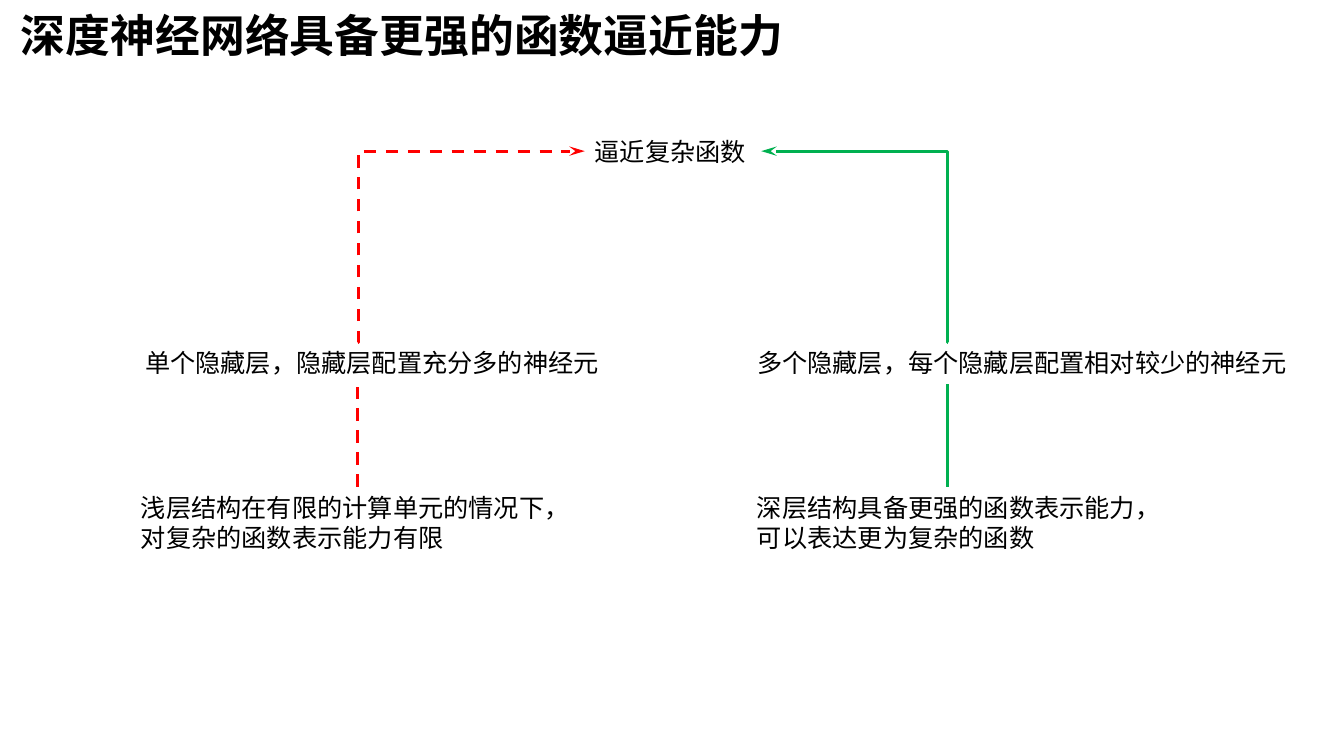
from lxml.etree import SubElement
from pptx import Presentation
from pptx.dml.color import RGBColor
from pptx.enum.dml import MSO_LINE_DASH_STYLE as DASH
from pptx.enum.shapes import MSO_CONNECTOR as CONNECTOR
from pptx.oxml.ns import qn
from pptx.util import Emu, Pt

PX = 9144  # 100 px to the inch
FONT = "Noto Sans CJK SC"
COLORS = {"text": "000000", "shallow": "FF0000", "deep": "00B050"}

TITLE = ("深度神经网络具备更强的函数逼近能力", (11, 3, 783, 64))
GOAL = ("逼近复杂函数", (580, 130, 176, 40))
NETWORKS = [
    {
        "color": "shallow", "dash": DASH.DASH, "line_x": 355, "arrow_x": 580,
        "layers": ("单个隐藏层，隐藏层配置充分多的神经元", 134, 492),
        "ability": ("浅层结构在有限的计算单元的情况下，对复杂的函数表示能力有限", 130, 450),
    },
    {
        "color": "deep", "dash": None, "line_x": 940, "arrow_x": 755,
        "layers": ("多个隐藏层，每个隐藏层配置相对较少的神经元", 741, 548),
        "ability": ("深层结构具备更强的函数表示能力，可以表达更为复杂的函数", 741, 397),
    },
]
GOAL_Y, LAYERS_Y, ABILITY_Y = 150, 340, 483
LAYERS_HEIGHT, ABILITY_HEIGHT = 41, 71


def px(*lengths):
    return [Emu(length * PX) for length in lengths]


def add_text(slide, text, box, size=18, bold=False):
    frame = slide.shapes.add_textbox(*px(*box)).text_frame
    frame.word_wrap = True
    run = frame.paragraphs[0].add_run()
    run.text = text
    font = run.font
    font.name, font.size, font.bold = FONT, Pt(size), bold
    font.color.rgb = RGBColor.from_string(COLORS["text"])
    SubElement(font._element, qn("a:ea"), typeface=FONT)


def add_line(slide, kind, start, end, color, dash):
    connector = slide.shapes.add_connector(kind, *px(*start, *end))
    line = connector.line
    line.width = Pt(2.25)
    line.color.rgb = RGBColor.from_string(COLORS[color])
    if dash:
        line.dash_style = dash
    SubElement(connector._element.spPr, qn("a:effectLst"))
    return connector


def add_corner_arrow(slide, start, end, color, dash):
    """Go straight up from start, then sideways to an arrowhead at end."""
    connector = add_line(slide, CONNECTOR.ELBOW, start, end, color, dash)
    properties = connector._element.spPr
    adjustments = properties.find(qn("a:prstGeom")).find(qn("a:avLst"))
    SubElement(adjustments, qn("a:gd"), name="adj1", fmla="val 200")
    SubElement(properties.find(qn("a:ln")), qn("a:tailEnd"), type="stealth", len="lg")


def main():
    presentation = Presentation()
    presentation.slide_width, presentation.slide_height = px(1333, 750)
    slide = presentation.slides.add_slide(presentation.slide_layouts[6])

    add_text(slide, *TITLE, size=32, bold=True)
    add_text(slide, *GOAL)
    for network in NETWORKS:
        x, style = network["line_x"], (network["color"], network["dash"])
        text, left, width = network["layers"]
        add_text(slide, text, (left, LAYERS_Y, width, LAYERS_HEIGHT))
        text, left, width = network["ability"]
        add_text(slide, text, (left, ABILITY_Y, width, ABILITY_HEIGHT))
        add_line(slide, CONNECTOR.STRAIGHT, (x, ABILITY_Y),
                 (x, LAYERS_Y + LAYERS_HEIGHT), *style)
        add_corner_arrow(slide, (x, LAYERS_Y), (network["arrow_x"], GOAL_Y), *style)

    presentation.save("out.pptx")


if __name__ == "__main__":
    main()
